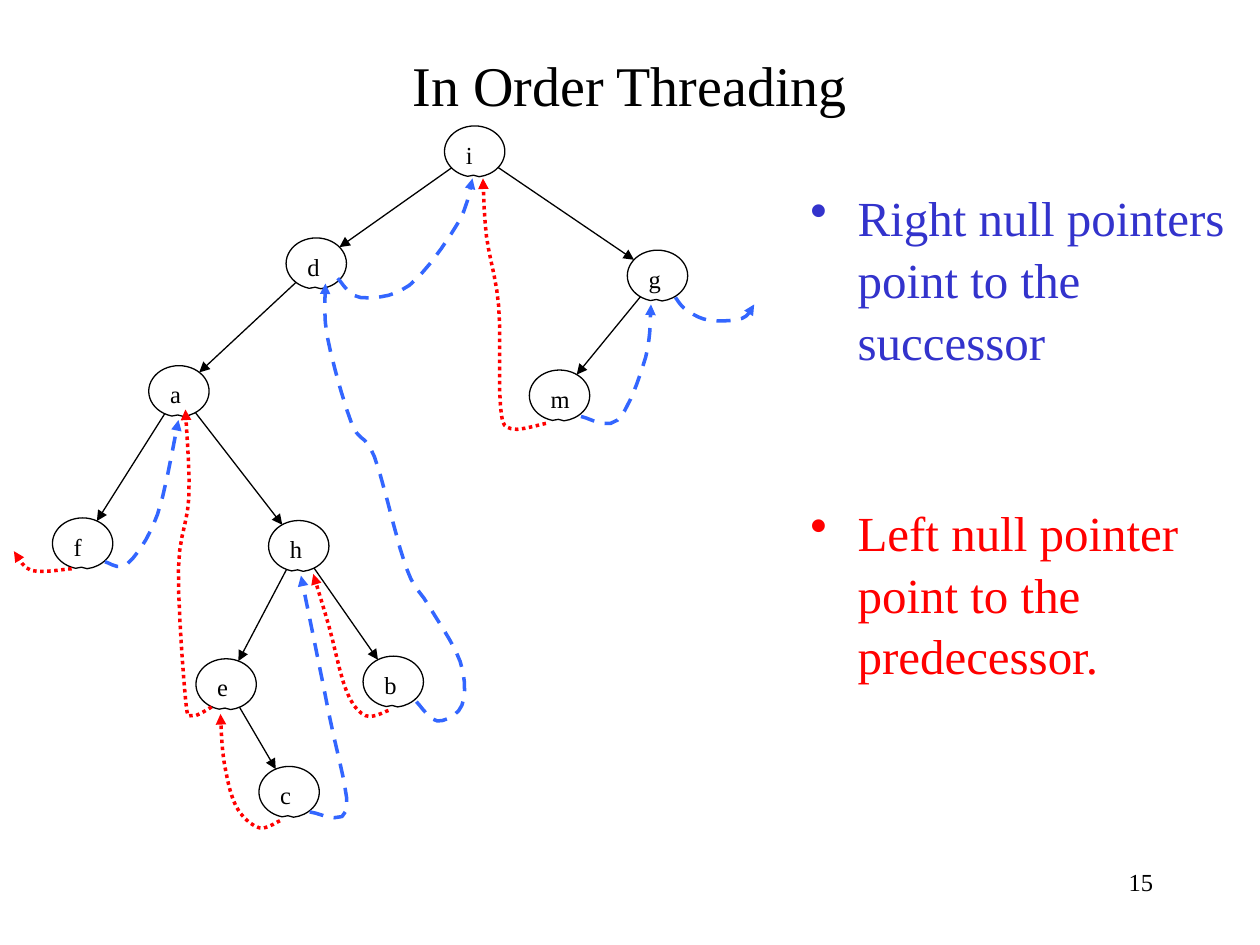
"""Build a slide that shows in-order threading of a binary tree."""
from dataclasses import dataclass
from math import hypot

from lxml import etree
from pptx import Presentation
from pptx.dml.color import RGBColor
from pptx.enum import dml, shapes, text
from pptx.oxml import ns
from pptx.util import Pt

BLACK = RGBColor(0x00, 0x00, 0x00)
WHITE = RGBColor(0xFF, 0xFF, 0xFF)
INDIGO = RGBColor(0x33, 0x33, 0xCC)
BLUE = RGBColor(0x33, 0x66, 0xFF)
RED = RGBColor(0xFF, 0x00, 0x00)
FONT = "Times New Roman"
NODE_W, NODE_H = 34.5, 29.2
STEPS = 5
SUCCESSOR = (BLUE, dml.MSO_LINE.DASH)
PREDECESSOR = (RED, dml.MSO_LINE.ROUND_DOT)


@dataclass(frozen=True)
class Node:
    label: str
    x: float
    y: float
    children: str = ""


@dataclass(frozen=True)
class Thread:
    style: tuple
    points: list


NODES = [
    Node("i", 254, 72, "dg"), Node("d", 163.5, 136, "a"), Node("g", 358.5, 143, "m"),
    Node("a", 85, 209, "fh"), Node("m", 302.5, 211.5), Node("f", 30, 296),
    Node("h", 153.5, 297.5, "eb"), Node("e", 112, 376.5, "c"), Node("b", 207.5, 375),
    Node("c", 148, 438),
]
THREADS = [
    Thread(SUCCESSOR, [(60, 321), (73, 322), (90, 294), (102, 240)]),
    Thread(SUCCESSOR, [(177, 464), (198, 463), (188, 408), (172, 329)]),
    Thread(SUCCESSOR, [(238, 401), (250, 412), (264, 403), (263, 378), (245, 346), (232, 324),
                       (214, 261), (201, 242), (187, 192), (186, 162)]),
    Thread(SUCCESSOR, [(193, 159), (206, 170), (234, 163), (262, 127), (270, 102)]),
    Thread(SUCCESSOR, [(332, 238), (353, 240), (369, 204), (372, 174)]),
    Thread(SUCCESSOR, [(386, 170), (392, 177), (405, 183), (424, 182), (431, 174)]),
    Thread(PREDECESSOR, [(312, 242), (292, 245), (286, 232), (285, 175), (278, 135), (276, 102)]),
    Thread(PREDECESSOR, [(222, 406), (209, 409), (198, 395), (188, 358), (179, 328)]),
    Thread(PREDECESSOR, [(160, 469), (148, 473), (135, 461), (128, 435), (126, 408)]),
    Thread(PREDECESSOR, [(121, 404), (110, 409), (106, 399), (102, 325), (108, 284), (106, 234)]),
    Thread(PREDECESSOR, [(41, 325), (18, 326), (8, 315)]),
]


def add_run(p, words: str, size: float, color: RGBColor) -> None:
    r = p.add_run()
    r.text = words
    r.font.name, r.font.size, r.font.color.rgb = FONT, Pt(size), color


def style_line(s, color: RGBColor, width: float) -> None:
    s.line.color.rgb = color
    s.line.width = Pt(width)


def add_arrowhead(s) -> None:
    etree.SubElement(s.line._get_or_add_ln(), ns.qn("a:tailEnd"), type="triangle")


def draw_node(tree, node: Node) -> None:
    s = tree.add_shape(shapes.MSO_SHAPE.OVAL_CALLOUT, Pt(node.x), Pt(node.y), Pt(NODE_W), Pt(NODE_H))
    s.adjustments[0], s.adjustments[1] = -0.02, 0.465
    s.shadow.inherit = False
    s.fill.solid()
    s.fill.fore_color.rgb = WHITE
    style_line(s, BLACK, 0.75)
    tf = s.text_frame
    tf.vertical_anchor = text.MSO_ANCHOR.TOP
    p = tf.paragraphs[0]
    p.alignment = text.PP_ALIGN.LEFT
    add_run(p, node.label, 14, BLACK)


def draw_edge(tree, parent: Node, child: Node) -> None:
    """Join the rims of two nodes along the line between their centres."""
    dx, dy = child.x - parent.x, child.y - parent.y
    reach = 1 / hypot(dx * 2 / NODE_W, dy * 2 / NODE_H)
    ends = [(n.x + NODE_W / 2 + k * dx * reach, n.y + NODE_H / 2 + k * dy * reach)
            for n, k in ((parent, 1), (child, -1))]
    s = tree.add_connector(shapes.MSO_CONNECTOR.STRAIGHT, *(Pt(v) for end in ends for v in end))
    style_line(s, BLACK, 0.75)
    add_arrowhead(s)
    etree.SubElement(s._element.spPr, ns.qn("a:effectLst"))


def spline(a: float, b: float, c: float, d: float, t: float) -> float:
    """Return the Catmull-Rom value between b and c."""
    return b + t / 2 * (c - a + t * (2 * a - 5 * b + 4 * c - d + t * (3 * (b - c) + d - a)))


def draw_thread(slide, thread: Thread) -> None:
    pts = [thread.points[0], *thread.points, thread.points[-1]]
    curve = [tuple(Pt(spline(*axis, k / STEPS)) for axis in zip(*pts[i:i + 4]))
             for i in range(len(pts) - 3) for k in range(1, STEPS + 1)]
    fb = slide.shapes.build_freeform(Pt(pts[0][0]), Pt(pts[0][1]))
    fb.add_line_segments(curve, close=False)
    s = fb.convert_to_shape()
    s.shadow.inherit = False
    s.fill.background()
    color, dash = thread.style
    style_line(s, color, 2)
    s.line.dash_style = dash
    add_arrowhead(s)


def add_bullet(p, words: str, color: RGBColor, gap: float) -> None:
    p.space_before, p.line_spacing = Pt(gap), 1.05
    pPr = p._p.get_or_add_pPr()
    pPr.set("marL", str(Pt(27)))
    pPr.set("indent", str(Pt(-27)))
    clr = etree.SubElement(pPr, ns.qn("a:buClr"))
    etree.SubElement(clr, ns.qn("a:srgbClr"), val=str(color))
    etree.SubElement(pPr, ns.qn("a:buChar"), char="•")
    add_run(p, words, 28, color)


def add_text_box(slide, x: float, y: float, w: float, h: float):
    tf = slide.shapes.add_textbox(Pt(x), Pt(y), Pt(w), Pt(h)).text_frame
    tf.word_wrap = True
    return tf


def main() -> None:
    prs = Presentation()
    prs.slide_width, prs.slide_height = Pt(720), Pt(540)
    slide = prs.slides.add_slide(prs.slide_layouts[5])
    title = slide.shapes.title
    title.left, title.top, title.width, title.height = Pt(54), Pt(30), Pt(612), Pt(36)
    title.text_frame.auto_size = text.MSO_AUTO_SIZE.NONE
    add_run(title.text_frame.paragraphs[0], "In Order Threading", 32, BLACK)
    tree = slide.shapes.add_group_shape().shapes
    by_label = {node.label: node for node in NODES}
    for node in NODES:
        draw_node(tree, node)
    for node in NODES:
        for label in node.children:
            draw_edge(tree, node, by_label[label])
    tf = add_text_box(slide, 456, 102, 255, 324)
    add_bullet(tf.paragraphs[0], "Right null pointers point to the successor", INDIGO, 7)
    add_bullet(tf.add_paragraph(), "Left null pointer point to the predecessor.", RED, 74)
    for thread in THREADS:
        draw_thread(slide, thread)
    p = add_text_box(slide, 516, 492, 150, 36).paragraphs[0]
    p.alignment = text.PP_ALIGN.RIGHT
    add_run(p, "15", 14, BLACK)
    prs.save("out.pptx")


if __name__ == "__main__":
    main()
